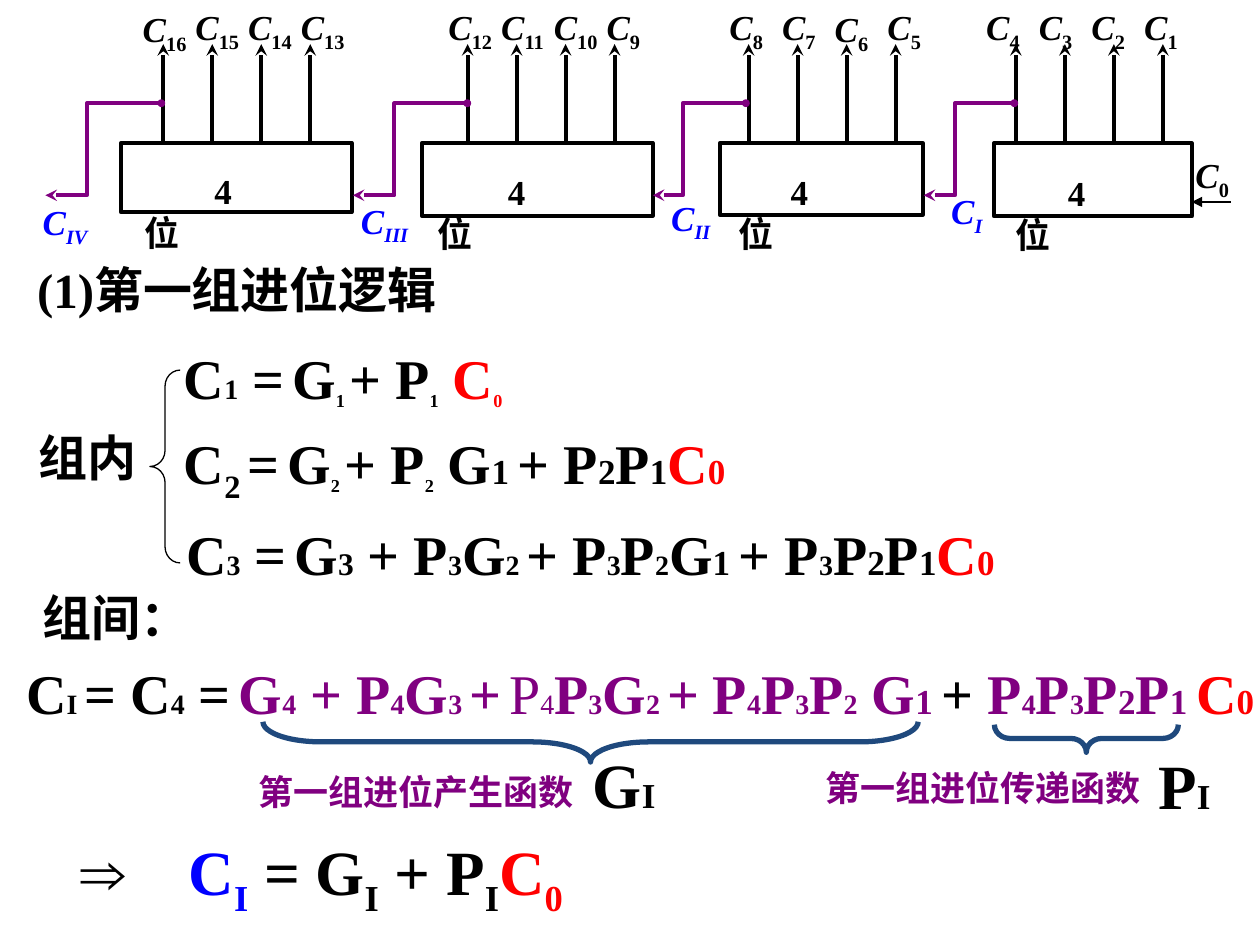
from lxml.etree import SubElement
from pptx import Presentation
from pptx.dml.color import RGBColor
from pptx.enum.shapes import MSO_CONNECTOR as Connector, MSO_SHAPE as Shape
from pptx.enum.text import MSO_AUTO_SIZE as AutoSize
from pptx.oxml.ns import qn
from pptx.util import Pt

COLOURS = {"black": "000000", "red": "FF0000", "blue": "0000FF",
           "purple": "800080", "navy": "1F497D"}
LATIN, CJK = "Times New Roman", "Noto Sans CJK SC"
END_SIZES = {"oval": "sm", "stealth": "med", "triangle": "med"}


def colour(name):
    return RGBColor.from_string(COLOURS[name])


class Board:
    def __init__(self, slide):
        self.slide = slide
        self.shapes = slide.shapes

    def text(self, x, y, w, h, runs, size=32, wrap=True, inset=7.2,
             indent=0, tab=None, face=LATIN):
        """Runs are (text, style) pairs; a style lists a size, a colour, sub, italic or light."""
        frame = self.shapes.add_textbox(Pt(x), Pt(y), Pt(w), Pt(h)).text_frame
        settings = {"word_wrap": wrap, "auto_size": AutoSize.SHAPE_TO_FIT_TEXT,
                    "margin_left": Pt(inset), "margin_right": Pt(inset)}
        for key, value in settings.items():
            setattr(frame, key, value)
        paragraph = frame.paragraphs[0]
        properties = paragraph._p.get_or_add_pPr()
        if indent:
            properties.set("marL", "0")
            properties.set("indent", str(Pt(indent)))
        if tab:
            stops = SubElement(properties, qn("a:tabLst"))
            SubElement(stops, qn("a:tab"), pos=str(Pt(tab)), algn="l")
        for content, style in runs:
            self.run(paragraph, content, style.split(), size, face)

    def run(self, paragraph, content, marks, size, face):
        run = paragraph.add_run()
        run.text = content
        size = next((int(mark) for mark in marks if mark.isdigit()), size)
        ink = next((mark for mark in marks if mark in COLOURS), "black")
        formats = {"name": face, "size": Pt(size), "bold": "light" not in marks,
                   "italic": "italic" in marks}
        for key, value in formats.items():
            setattr(run.font, key, value)
        run.font.color.rgb = colour(ink)
        properties = run._r.get_or_add_rPr()
        if "sub" in marks:
            properties.set("baseline", "-25000")
        SubElement(properties, qn("a:ea"), typeface=CJK)

    def heading(self, x, y, w, content, size=28, ink="black", face=CJK):
        self.text(x, y, w, size * 1.45, [(content, ink)], size, face=face)

    def carry_label(self, x, y, w, index, ink="black", index_style="", wrap=False):
        self.text(x, y, w, 31, [("C", f"{ink} italic"), (index, f"{ink} sub {index_style}")],
                  size=20, wrap=wrap)

    def stroke(self, shape, ink, width, head=None, tail=None):
        shape.line.color.rgb = colour(ink)
        shape.line.width = Pt(width)
        outline = shape.line._get_or_add_ln()
        for tag, end in (("a:headEnd", head), ("a:tailEnd", tail)):
            if end:
                SubElement(outline, qn(tag), type=end, w=END_SIZES[end], len=END_SIZES[end])

    def preset(self, kind, x, y, w, h, ink="black", width=2.25, bend=None, rotation=0):
        shape = self.shapes.add_shape(kind, Pt(x), Pt(y), Pt(w), Pt(h))
        shape.shadow.inherit = False
        shape.fill.background()
        shape.rotation = rotation
        if bend:
            shape.adjustments[0] = bend
        self.stroke(shape, ink, width)

    def arrow(self, x1, y1, x2, y2, width=2.25, **ends):
        line = self.shapes.add_connector(Connector.STRAIGHT, Pt(x1), Pt(y1), Pt(x2), Pt(y2))
        SubElement(line._element.spPr, qn("a:effectLst"))
        self.stroke(line, "black", width, **ends)

    def elbow(self, start, bend, end, top=59, bottom=111.6):
        builder = self.shapes.build_freeform(Pt(start), Pt(top))
        corners = [(bend, top), (bend, bottom), (end, bottom)]
        builder.add_line_segments([(Pt(x), Pt(y)) for x, y in corners], close=False)
        carry = builder.convert_to_shape()
        carry.shadow.inherit = False
        carry.fill.background()
        self.stroke(carry, "purple", 2.25, head="oval", tail="stealth")


# highest carry, block (x, w, h), caption (x, y, indent), first arrow x, first label x,
# carry path (start, bend, end), carry name and its (x, y, w)
GROUPS = [
    (16, (69, 132, 39.4), (75.4, 93.6, 40), 93.3, 74.5, (92.2, 49.7, 26), "IV", (17.3, 111.3, 59)),
    (12, (241, 132, 41.5), (243.2, 94, 40), 267.2, 249.2, (267, 225.4, 201.6), "III", (199.2, 110.2, 59)),
    (8, (411.3, 116, 41), (414.7, 93.9, 30), 427.8, 409.7, (426.2, 390.2, 373), "II", (376.4, 108.5, 41.8)),
    (4, (568, 113, 41.8), (573.1, 94.3, 30), 580.5, 556.4, (579.6, 545.8, 527.8), "I", (536.4, 104.7, 41.8)),
]
ARROW_STEP, LABEL_STEP = 28, 30.1
LOWERED = (16, 6)

C1 = [("C", ""), ("1", "16"), (" =", ""), (" ", "18"), ("G", ""), ("1 ", "18 sub"), ("+ P", ""),
      ("1", "18 sub"), (" ", ""), ("C", "red"), ("0", "18 red sub")]
C2 = [("C", ""), ("2", "sub"), (" ", "16"), ("=", ""), (" ", "18"), ("G", ""), ("2 ", "18 sub"),
      ("+ P", ""), ("2", "18 sub"), (" G", ""), ("1 ", "20"), ("+ P", ""), ("2", "20"),
      ("P", ""), ("1", "20"), ("C", "red"), ("0", "20 red")]
C3 = [("C", ""), ("3", "16"), (" =", ""), (" ", "18"), ("G", ""), ("3", "18"), (" + P", ""),
      ("3", "16"), ("G", ""), ("2 ", "16"), ("+ P", ""), ("3", "16"), ("P", ""), ("2", "16"),
      ("G", ""), ("1 ", "20"), ("+ P", ""), ("3", "16"), ("P", ""), ("2", "20"), ("P", ""),
      ("1", "20"), ("C", "red"), ("0", "20 red")]
GENERATE = [("G", ""), ("4", "16"), (" + P", ""), ("4", "16"), ("G", ""), ("3 ", "16"), ("+", ""),
            (" ", "18 light"), ("P", "light"), ("4", "16 light"), ("P", ""), ("3", "16"), ("G", ""),
            ("2 ", "16"), ("+ P", ""), ("4", "16"), ("P", ""), ("3", "16"), ("P", ""), ("2", "16"),
            (" G", ""), ("1 ", "20")]
PROPAGATE = [("P", ""), ("4", "16"), ("P", ""), ("3", "16"), ("P", ""), ("2", "20"), ("P", ""),
             ("1 ", "20")]
RESULT = [("⇒\t", "italic"), ("C", "blue"), ("I", "blue sub"), (" = G", ""), ("I", "sub"),
          (" + P", ""), ("I", "sub"), ("C", "red"), ("0", "red sub")]


def purple(runs):
    return [(content, f"{style} purple") for content, style in runs]


def draw_carry_chain(board):
    for highest, (x, w, h), caption, arrow_x, label_x, carry, name, name_box in GROUPS:
        left, top, indent = caption
        board.text(left, top, indent + 38, 31, [("4位", "")], size=20, indent=indent)
        board.preset(Shape.RECTANGLE, x, 81.8, w, h)
        for place in range(4):
            bit = highest - place
            tip = arrow_x + place * ARROW_STEP
            board.arrow(tip, 82.8, tip, 25.2, tail="stealth")
            board.carry_label(label_x + place * LABEL_STEP, 0.7 if bit in LOWERED else -0.4,
                              41 if bit > 9 else 34.6, str(bit))
        board.elbow(*carry)
        board.carry_label(*name_box, name, "blue", "italic", wrap=True)
    board.carry_label(676, 84.2, 41.8, "0", wrap=True)
    board.arrow(681, 115.4, 703.4, 115.4, width=0.75, head="triangle")


def draw_formulas(board):
    board.heading(14.1, 144.7, 289, "(1)第一组进位逻辑", face=LATIN)
    board.heading(15.1, 240.5, 170, "组内")
    board.heading(17.3, 332, 170, "组间：")
    board.preset(Shape.LEFT_BRACE, 85.7, 211.5, 17.3, 110.2, width=0.75, bend=0.53)
    for x, y, w, runs in ((98, 193, 207, C1), (98, 241.2, 340, C2), (99.3, 293.6, 500, C3)):
        board.text(x, y, w, 45.4, runs, wrap=False)
    between = [("C", ""), ("I ", "16"), ("= C", ""), ("4", "16"), (" =", ""), (" ", "18"),
               *purple(GENERATE), ("+ ", ""), *purple(PROPAGATE), ("C", "red"), ("0", "20 red")]
    board.text(15, 373, 728, 46, between, wrap=False, inset=0)

    for letter, x, y, w in (("G", 331.7, 422.6, 50.4), ("P", 654.8, 423.2, 44)):
        board.text(x, y, w, 50.4, [(letter, ""), ("I", "20")], size=36, wrap=False)
    board.heading(140.4, 437, 253, "第一组进位产生函数", 20, "purple")
    board.heading(464.4, 434.2, 235, "第一组进位传递函数", 20, "purple")
    for x, y, w, h, bend in ((326, 236.7, 23, 374.4, 1.45), (612.9, 369.4, 15.8, 105.1, 0.56)):
        board.preset(Shape.LEFT_BRACE, x, y, w, h, "navy", 3, bend, rotation=270)
    board.text(38.9, 472.3, 365, 50.4, RESULT, size=36, tab=61.8)


def main():
    deck = Presentation()
    deck.slide_width, deck.slide_height = Pt(720), Pt(540)
    board = Board(deck.slides.add_slide(deck.slide_layouts[6]))
    draw_carry_chain(board)
    draw_formulas(board)
    deck.save("out.pptx")


if __name__ == "__main__":
    main()
